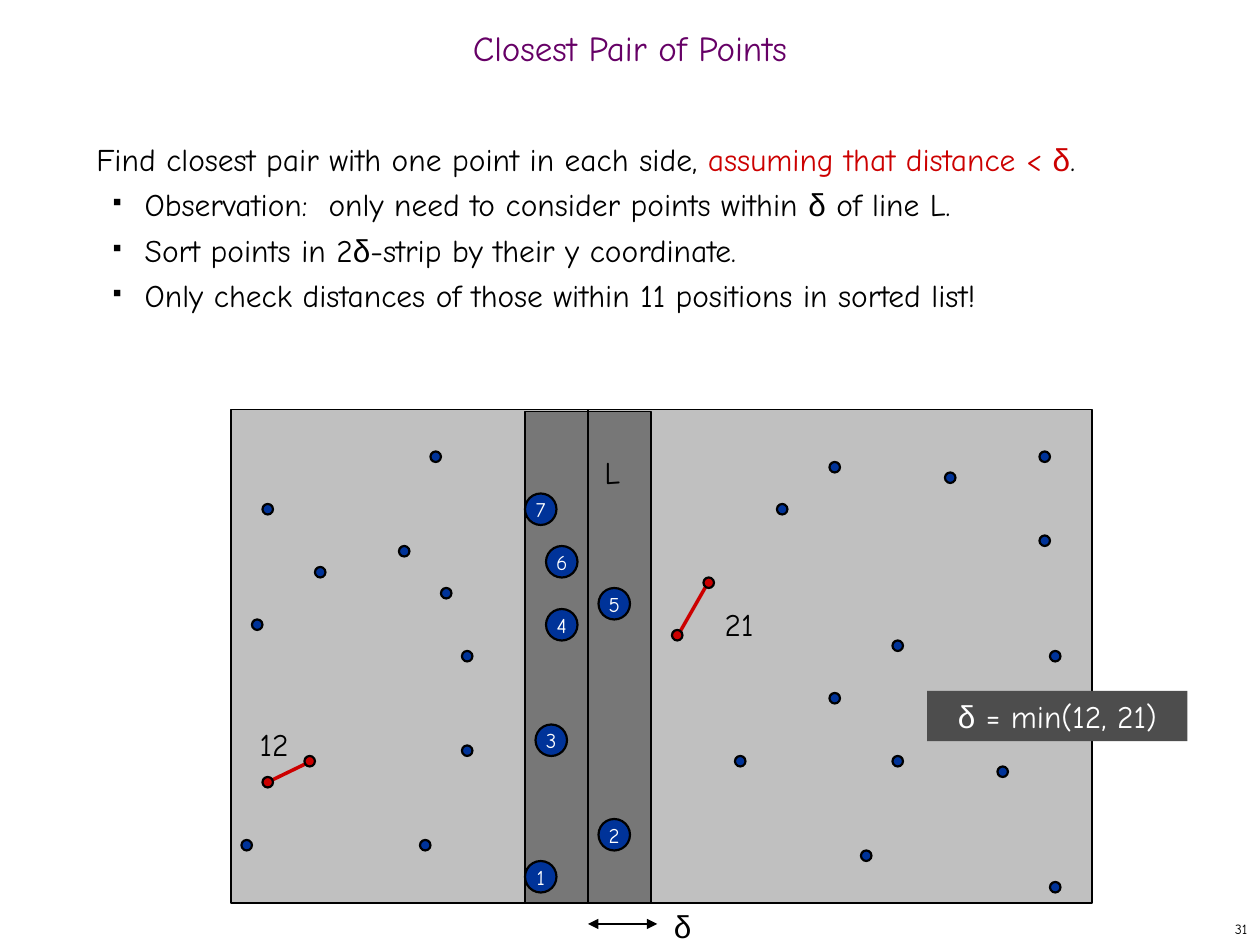
from dataclasses import dataclass
from typing import NamedTuple, Optional

from lxml.etree import SubElement as Sub
from pptx import Presentation
from pptx.dml.color import RGBColor as Rgb
from pptx.enum.shapes import MSO_CONNECTOR as Link, MSO_SHAPE as Kind
from pptx.enum.text import MSO_ANCHOR as Anchor, PP_ALIGN as Align
from pptx.oxml import parse_xml
from pptx.oxml.ns import nsdecls, qn
from pptx.util import Pt

PX = 914400 // 120
CELL = 10


@dataclass(frozen=True)
class Theme:
    face: str = "Comic Neue"
    greek: str = "Arial"
    black: str = "000000"
    white: str = "FFFFFF"
    plum: str = "660066"
    red: str = "CC0000"
    blue: str = "003399"
    board: str = "C0C0C0"
    strip: str = "777777"
    slate: str = "4D4D4D"
    head: int = 20
    text: int = 18
    badge: int = 12
    small: int = 8


T = Theme()


class Box(NamedTuple):
    x: int
    y: int
    w: int
    h: int


class Spot(NamedTuple):
    x: int
    y: int


class Bit(NamedTuple):
    text: str
    color: Optional[str] = None


@dataclass(frozen=True)
class Look:
    size: int = T.text
    color: str = T.black
    align: Align = Align.CENTER
    anchor: Anchor = Anchor.TOP
    before: float = 0
    lead: object = None
    wrap: bool = True


@dataclass(frozen=True)
class Pair:
    ends: tuple[Spot, Spot]
    line: tuple[Spot, Spot]
    label: str
    box: Box


LABEL = Look(before=11.2)
DOTS = [Spot(*s) for s in (
    (30, 54), (44, 71), (25, 48), (38, 52), (41, 43), (42, 56), (74, 48), (100, 84),
    (79, 44), (85, 61), (24, 59), (44, 62), (23, 80), (40, 80), (99, 51), (90, 45),
    (70, 72), (99, 43), (79, 66), (82, 81), (100, 62), (85, 72), (95, 73))]
RANKED = [Spot(*s) for s in (
    (50, 82), (57, 78), (51, 69), (52, 58), (57, 56), (52, 52), (50, 47))]
PAIRS = [
    Pair((Spot(25, 74), Spot(29, 72)), (Spot(292, 727), Spot(259, 743)),
         "12", Box(228, 685, 66, 48)),
    Pair((Spot(67, 55), Spot(64, 60)), (Spot(672, 559), Spot(648, 601)),
         "21", Box(671, 570, 66, 48)),
]
BODY = [
    [Bit("Find closest pair with one point in each side, "),
     Bit("assuming that distance < ", T.red), Bit("δ", T.red), Bit(".")],
    [Bit("Observation:  only need to consider points within "), Bit("δ"),
     Bit(" of line L.")],
    [Bit("Sort points in 2"), Bit("δ"), Bit("-strip by their y coordinate.")],
    [Bit("Only check distances of those within 11 positions in sorted list!")],
]


def add_shape(slide, kind: Kind, box: Box, fill: str, width: float = 0):
    shape = slide.shapes.add_shape(kind, *(n * PX for n in box))
    shape.shadow.inherit = False
    shape.fill.solid()
    shape.fill.fore_color.rgb = Rgb.from_string(fill)
    if width:
        shape.line.color.rgb = Rgb.from_string(T.black)
        shape.line.width = Pt(width)
    else:
        shape.line.fill.background()
    return shape


def add_dot(slide, spot: Spot, fill: str) -> None:
    add_shape(slide, Kind.OVAL, Box(spot.x * CELL, spot.y * CELL, CELL, CELL), fill, 1.25)


def add_line(slide, start: Spot, end: Spot, color: str, width: float,
             heads: bool = False) -> None:
    line = slide.shapes.add_connector(Link.STRAIGHT, *(n * PX for n in (*start, *end)))
    line.line.color.rgb = Rgb.from_string(color)
    line.line.width = Pt(width)
    if heads:
        for tag in ("a:headEnd", "a:tailEnd"):
            Sub(line.line._get_or_add_ln(), qn(tag), type="triangle")
    Sub(line._element.spPr, qn("a:effectLst"))


def set_font(font, color: str) -> None:
    font.color.rgb = Rgb.from_string(color)


def add_para(para, bits: list[Bit], look: Look) -> None:
    para.alignment = look.align
    para.space_before = Pt(look.before)
    if look.lead:
        para.line_spacing = look.lead
    font = para.font
    font.size = Pt(look.size)
    font.name = T.greek if all(b.text == "δ" for b in bits) else T.face
    set_font(font, look.color)
    for bit in bits:
        run = para.add_run()
        run.text = bit.text
        if bit.text == "δ" and len(bits) > 1:
            run.font.name = T.greek
        if bit.color:
            set_font(run.font, bit.color)


def add_mark(para) -> None:
    props = para._p.get_or_add_pPr()
    props.set("marL", str(46 * PX))
    props.set("indent", str(-30 * PX))
    base = props.find(qn("a:defRPr"))
    for part in (f'<a:buClr {nsdecls("a")}><a:srgbClr val="{T.black}"/></a:buClr>',
                 f'<a:buSzPct {nsdecls("a")} val="35000"/>',
                 f'<a:buChar {nsdecls("a")} char="■"/>'):
        base.addprevious(parse_xml(part))


def write(shape, bits: list[Bit], look: Look):
    frame = shape.text_frame
    frame.word_wrap = look.wrap
    frame.vertical_anchor = look.anchor
    add_para(frame.paragraphs[0], bits, look)
    return frame


def add_text(slide, box: Box, bits: list[Bit], look: Look):
    return write(slide.shapes.add_textbox(*(n * PX for n in box)), bits, look)


def main() -> None:
    deck = Presentation()
    deck.slide_width, deck.slide_height = 1200 * PX, 900 * PX
    slide = deck.slides.add_slide(deck.slide_layouts[6])

    add_shape(slide, Kind.RECTANGLE, Box(220, 390, 820, 470), T.board, 1)
    add_shape(slide, Kind.RECTANGLE, Box(500, 392, 120, 468), T.strip, 1)
    for spot in DOTS:
        add_dot(slide, spot, T.blue)
    add_line(slide, Spot(560, 390), Spot(560, 860), T.black, 1)
    for pair in PAIRS:
        add_line(slide, *pair.line, T.red, 2)
        for spot in pair.ends:
            add_dot(slide, spot, T.red)
        add_text(slide, pair.box, [Bit(pair.label)], LABEL)

    badge = Look(T.badge, T.white, anchor=Anchor.MIDDLE, wrap=False)
    for rank, spot in enumerate(RANKED, 1):
        box = Box(spot.x * CELL, spot.y * CELL, 30, 30)
        write(add_shape(slide, Kind.OVAL, box, T.blue, 1.25), [Bit(str(rank))], badge)

    add_line(slide, Spot(560, 880), Spot(626, 880), T.black, 0.75, heads=True)
    add_text(slide, Box(630, 858, 40, 42), [Bit("δ")], LABEL)
    add_text(slide, Box(0, 20, 1200, 60), [Bit("Closest Pair of Points")],
             Look(T.head, T.plum, anchor=Anchor.MIDDLE, lead=0.7))

    plain = Look(align=Align.LEFT, lead=Pt(26))
    frame = add_text(slide, Box(80, 120, 1030, 710), BODY[0], plain)
    for bits in BODY[1:]:
        para = frame.add_paragraph()
        add_para(para, bits, plain)
        add_mark(para)

    add_text(slide, Box(550, 426, 66, 48), [Bit("L")], LABEL)
    write(add_shape(slide, Kind.RECTANGLE, Box(883, 658, 248, 48), T.slate),
          [Bit("δ"), Bit(" = min(12, 21)")], Look(color=T.white, before=11.2))
    add_text(slide, Box(950, 870, 250, 30), [Bit("31")],
             Look(T.small, align=Align.RIGHT, anchor=Anchor.MIDDLE))
    deck.save("out.pptx")


if __name__ == "__main__":
    main()
